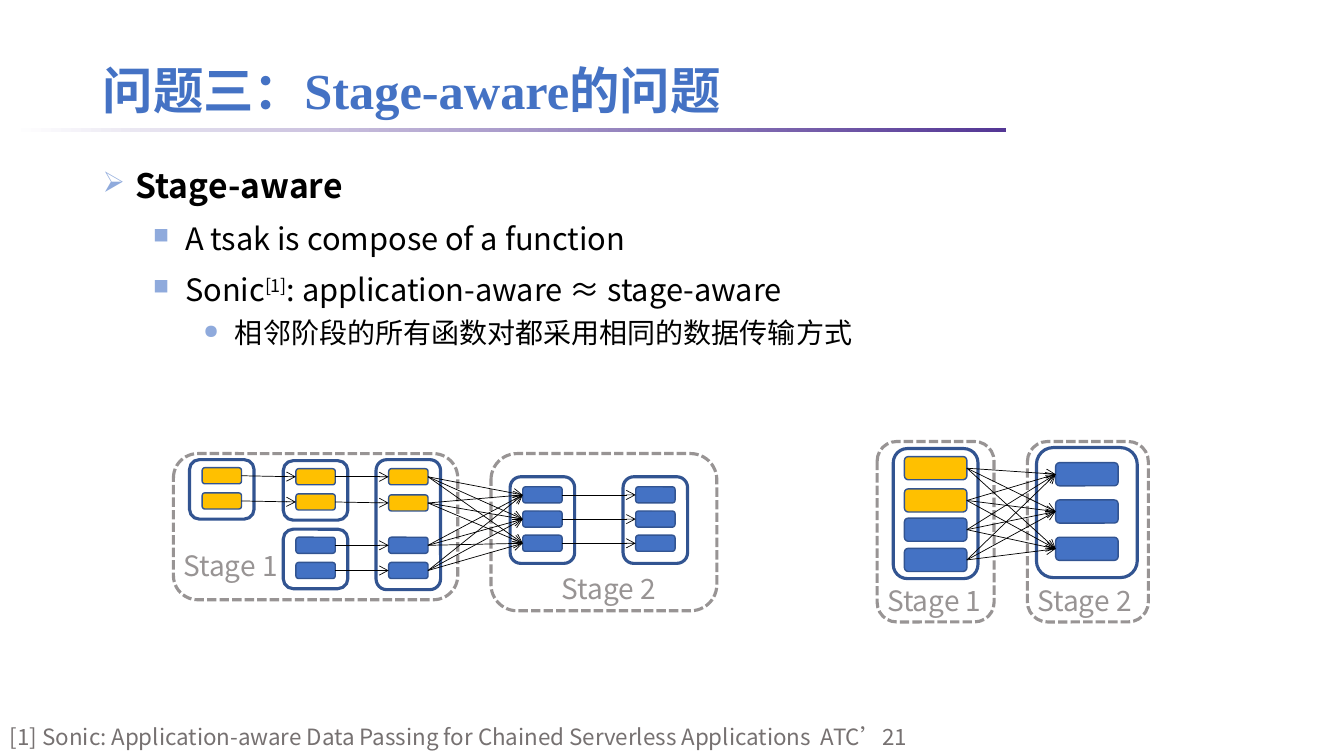
from itertools import product
from lxml import etree
from pptx import Presentation
from pptx.dml.color import RGBColor
from pptx.enum.dml import MSO_LINE
from pptx.enum.shapes import MSO_CONNECTOR, MSO_SHAPE
from pptx.enum.text import MSO_ANCHOR, MSO_AUTO_SIZE
from pptx.oxml.ns import qn
from pptx.util import Inches, Pt

SANS = "Noto Sans CJK SC"
SERIF = "Times New Roman"
BLUE, YELLOW, NAVY = "4472C4", "FFC000", "325491"
WHITE, BLACK, GRAY, FOOTER_GRAY = "FFFFFF", "000000", "989494", "767171"
BULLET_BLUE, PURPLE = "8FAADC", "543795"
SMALL_BAR, LARGE_BAR = (0.39, 0.16), (0.62, 0.23)


def color(hex_string):
    return RGBColor.from_string(hex_string)


def format_run(run, size, hex_string, font=SANS, bold=False):
    run.font.size = Pt(size)
    run.font.name = font
    run.font.bold = bold
    run.font.color.rgb = color(hex_string)
    east_asian = etree.SubElement(run.font._element, qn("a:ea"))
    east_asian.set("typeface", SANS)


def add_text_frame(slide, box):
    text_frame = slide.shapes.add_textbox(*map(Inches, box)).text_frame
    text_frame.word_wrap = True
    return text_frame


def add_label(slide, box, text, size, hex_string):
    text_frame = add_text_frame(slide, box)
    text_frame.auto_size = MSO_AUTO_SIZE.SHAPE_TO_FIT_TEXT
    text_frame.text = text
    format_run(text_frame.paragraphs[0].runs[0], size, hex_string)


def add_title(slide, box):
    left, top, width, height = box
    rule = slide.shapes.add_shape(
        MSO_SHAPE.RECTANGLE, Inches(left - 0.81), Inches(top + 0.87), Inches(9.87), Inches(0.04))
    rule.shadow.inherit = False
    rule.line.fill.background()
    rule.fill.gradient()
    rule.fill.gradient_angle = 0
    for stop, hex_string in zip(rule.fill.gradient_stops, (WHITE, PURPLE)):
        stop.color.rgb = color(hex_string)

    text_frame = add_text_frame(slide, box)
    text_frame.vertical_anchor = MSO_ANCHOR.MIDDLE
    text_frame.text = "问题三：Stage-aware的问题"
    paragraph = text_frame.paragraphs[0]
    paragraph.line_spacing = 1.2
    format_run(paragraph.runs[0], 36, BLUE, SERIF, bold=True)


def set_bullet(paragraph, character, percent, margin):
    properties = paragraph._p.get_or_add_pPr()
    properties.set("marL", str(Inches(margin)))
    properties.set("indent", str(Inches(-0.25)))
    bullet_color = etree.SubElement(properties, qn("a:buClr"))
    etree.SubElement(bullet_color, qn("a:srgbClr")).set("val", BULLET_BLUE)
    etree.SubElement(properties, qn("a:buSzPct")).set("val", str(percent * 1000))
    etree.SubElement(properties, qn("a:buChar")).set("char", character)


def add_body(slide, box):
    levels = [(24, 12, "➢", 85, 0.25), (22, 10, "■", 70, 0.75), (20, 6, "●", 70, 1.25)]
    points = [
        (0, [" Stage-aware"]),
        (1, [" A tsak is compose of a function"]),
        (1, [" Sonic", "[1]", ": application-aware ≈ stage-aware"]),
        (2, [" 相邻阶段的所有函数对都采用相同的数据传输方式"]),
    ]
    text_frame = add_text_frame(slide, box)
    for index, (level, texts) in enumerate(points):
        size, space, character, percent, margin = levels[level]
        paragraph = text_frame.add_paragraph() if index else text_frame.paragraphs[0]
        paragraph.level = level
        paragraph.line_spacing = 1.0 if level else 1.2
        paragraph.space_before = Pt(space)
        set_bullet(paragraph, character, percent, margin)
        for text in texts:
            run = paragraph.add_run()
            run.text = text
            format_run(run, size, BLACK, bold=level == 0)
            if text == "[1]":
                run.font._element.set("baseline", "30000")


def add_rounded(slide, box, fill, line, line_width):
    shape = slide.shapes.add_shape(MSO_SHAPE.ROUNDED_RECTANGLE, *map(Inches, box))
    shape.shadow.inherit = False
    shape.fill.solid()
    shape.fill.fore_color.rgb = color(fill)
    shape.line.color.rgb = color(line)
    shape.line.width = Pt(line_width)
    return shape


def add_stage(slide, box, name, label_left, label_top):
    frame = add_rounded(slide, box, WHITE, GRAY, 2.25)
    frame.line.dash_style = MSO_LINE.SQUARE_DOT
    label_box = (box[0] + label_left, box[1] + label_top, 1.23, 0.44)
    add_label(slide, label_box, name, 20, GRAY)


def add_functions(slide, box, bar_size, bar_tops, fills):
    left, top, width, height = box
    bar_width, bar_height = bar_size
    add_rounded(slide, box, WHITE, NAVY, 2.25)
    bar_left = left + (width - bar_width) / 2
    bars = []
    for bar_top, fill in zip(bar_tops, fills):
        bar = (bar_left, top + bar_top, bar_width, bar_height)
        add_rounded(slide, bar, fill, NAVY, 1)
        bars.append(bar)
    return bars


def connect(slide, pairs):
    for source, target in pairs:
        connector = slide.shapes.add_connector(
            MSO_CONNECTOR.STRAIGHT,
            Inches(source[0] + source[2]), Inches(source[1] + source[3] / 2),
            Inches(target[0]), Inches(target[1] + target[3] / 2))
        connector.line.color.rgb = color(BLACK)
        connector.line.width = Pt(0.5)
        line = connector.line._get_or_add_ln()
        etree.SubElement(line, qn("a:tailEnd")).set("type", "arrow")
        etree.SubElement(connector._element.spPr, qn("a:effectLst"))


def add_pipeline_diagram(slide, box):
    left, top, width, height = box
    add_stage(slide, (left + 3.15, top, 2.24, height), "Stage 2", 0.6, 1.12)
    add_stage(slide, (left, top, 2.82, 1.45), "Stage 1", 0, 0.89)

    def place(x, y, frame_height, bar_tops, fills):
        frame = (left + x, top + y, 0.64, frame_height)
        return add_functions(slide, frame, SMALL_BAR, bar_tops, fills)

    pair, trio = (0.08, 0.33), (0.1, 0.34, 0.58)
    entry = place(0.16, 0.06, 0.59, pair, [YELLOW] * 2)
    upper = place(1.09, 0.07, 0.59, pair, [YELLOW] * 2)
    lower = place(1.09, 0.75, 0.59, pair, [BLUE] * 2)
    joined = place(2.01, 0.06, 1.29, (0.09, 0.35, 0.77, 1.02), [YELLOW] * 2 + [BLUE] * 2)
    first = place(3.34, 0.23, 0.86, trio, [BLUE] * 3)
    last = place(4.46, 0.23, 0.86, trio, [BLUE] * 3)

    connect(slide, zip(entry, upper))
    connect(slide, zip(upper + lower, joined))
    connect(slide, product(joined, first))
    connect(slide, zip(first, last))


def add_merged_diagram(slide, box):
    left, top, width, height = box
    add_stage(slide, (left + 1.49, top, 1.2, height), "Stage 2", 0, 1.36)
    add_stage(slide, (left, top, 1.16, height), "Stage 1", 0, 1.36)
    sources = add_functions(
        slide, (left + 0.16, top + 0.07, 0.84, 1.29), LARGE_BAR,
        (0.08, 0.4, 0.69, 0.99), [YELLOW] * 2 + [BLUE] * 2)
    targets = add_functions(
        slide, (left + 1.58, top + 0.06, 1, 1.29), LARGE_BAR,
        (0.15, 0.52, 0.89), [BLUE] * 3)
    connect(slide, product(sources, targets))


def main():
    presentation = Presentation()
    presentation.slide_width = Inches(13.33)
    presentation.slide_height = Inches(7.5)
    slide = presentation.slides.add_slide(presentation.slide_layouts[6])
    add_title(slide, (0.92, 0.4, 11.5, 0.85))
    add_body(slide, (0.92, 1.51, 11.84, 5.8))
    reference = "[1] Sonic: Application-aware Data Passing for Chained Serverless Applications  ATC’21"
    add_label(slide, (0, 7.13, 12.82, 0.37), reference, 16, FOOTER_GRAY)
    add_pipeline_diagram(slide, (1.72, 4.5, 5.39, 1.56))
    add_merged_diagram(slide, (8.7, 4.38, 2.69, 1.79))
    presentation.save("out.pptx")


if __name__ == "__main__":
    main()
